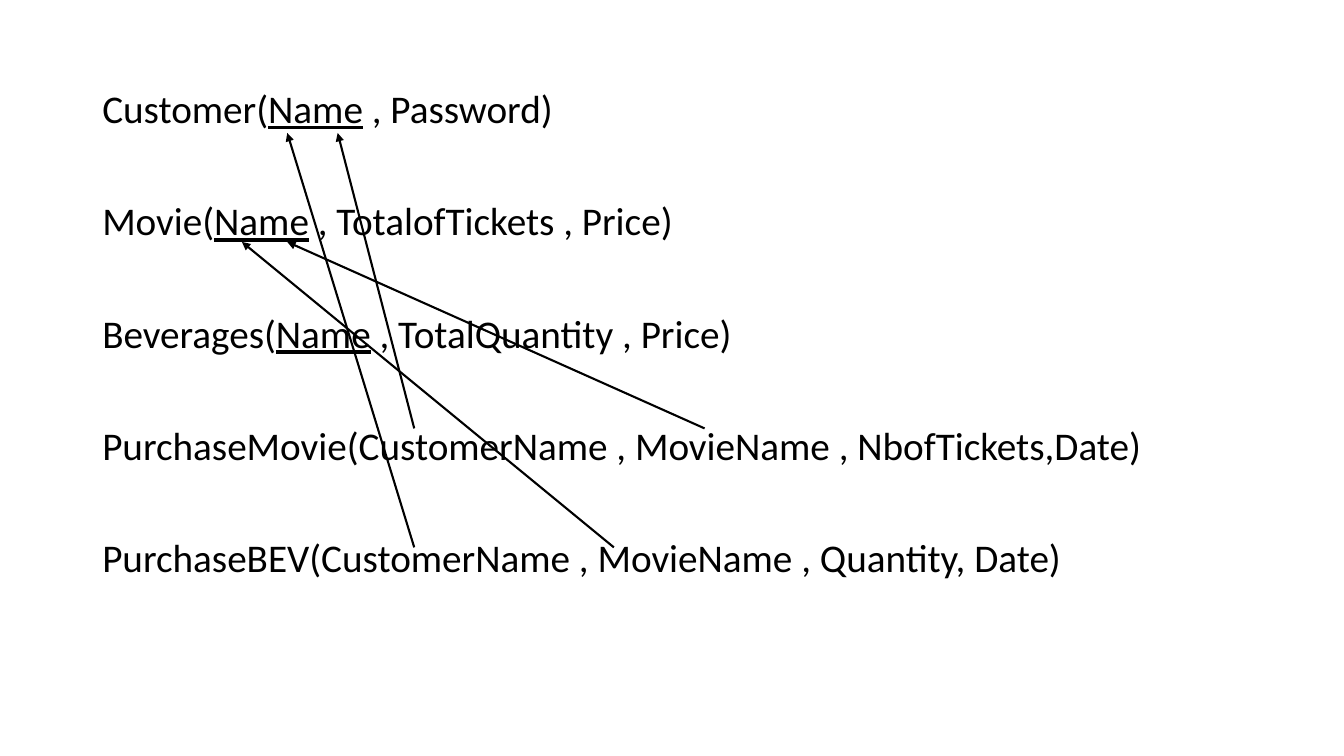
from dataclasses import dataclass

from lxml.etree import SubElement
from pptx import Presentation
from pptx.dml.color import RGBColor
from pptx.enum.shapes import MSO_CONNECTOR
from pptx.enum.text import MSO_ANCHOR
from pptx.oxml.ns import qn
from pptx.util import Pt


@dataclass(frozen=True)
class Theme:
    ink: RGBColor = RGBColor(0, 0, 0)
    font: str = "Calibri"
    text_size: int = 28
    line_width: float = 1.5
    relation_gap: int = 50


THEME = Theme()

RELATIONS = [
    ("Customer(", "Name", " , Password)"),
    ("Movie(", "Name", " , TotalofTickets , Price)"),
    ("Beverages(", "Name", " , TotalQuantity , Price)"),
    ("PurchaseMovie(CustomerName , MovieName , NbofTickets,Date)",),
    ("PurchaseBEV(CustomerName , MovieName , Quantity, Date)",),
]

CUSTOMER_KEY_Y, MOVIE_KEY_Y = 95, 172.8
PURCHASE_MOVIE_Y, PURCHASE_BEV_Y = 306, 391

FOREIGN_KEYS = [
    ((295.9, PURCHASE_MOVIE_Y), (241.2, CUSTOMER_KEY_Y)),
    ((295.9, PURCHASE_BEV_Y), (205.2, CUSTOMER_KEY_Y)),
    ((438.5, PURCHASE_BEV_Y), (172.8, MOVIE_KEY_Y)),
    ((503.3, PURCHASE_MOVIE_Y), (205.2, MOVIE_KEY_Y)),
]


def apply_format(target, values):
    for attribute, value in values.items():
        setattr(target, attribute, value)


def add_relation(paragraph, parts, gap):
    apply_format(paragraph, {"line_spacing": 0.9, "space_before": Pt(gap)})
    for position, part in enumerate(parts):
        attribute = paragraph.add_run()
        attribute.text = part
        apply_format(attribute.font, {
            "name": THEME.font,
            "size": Pt(THEME.text_size),
            "underline": position == 1,
        })
        attribute.font.color.rgb = THEME.ink


def add_schema(slide, relations):
    schema = slide.shapes.add_textbox(Pt(66), Pt(60.5), Pt(828), Pt(451.5)).text_frame
    apply_format(schema, {"word_wrap": True, "vertical_anchor": MSO_ANCHOR.TOP})
    for row, parts in enumerate(relations):
        paragraph = schema.add_paragraph() if row else schema.paragraphs[0]
        add_relation(paragraph, parts, THEME.relation_gap if row else 0)


def add_reference(slide, foreign_key, primary_key):
    ends = [Pt(value) for value in (*foreign_key, *primary_key)]
    reference = slide.shapes.add_connector(MSO_CONNECTOR.STRAIGHT, *ends)
    reference.line.width = Pt(THEME.line_width)
    reference.line.color.rgb = THEME.ink
    SubElement(reference.line._get_or_add_ln(), qn("a:tailEnd"), type="triangle")
    SubElement(reference._element.spPr, qn("a:effectLst"))


def main():
    presentation = Presentation()
    apply_format(presentation, {"slide_width": Pt(960), "slide_height": Pt(540)})
    slide = presentation.slides.add_slide(presentation.slide_layouts[6])
    add_schema(slide, RELATIONS)
    for foreign_key, primary_key in FOREIGN_KEYS:
        add_reference(slide, foreign_key, primary_key)
    presentation.save("out.pptx")


if __name__ == "__main__":
    main()
